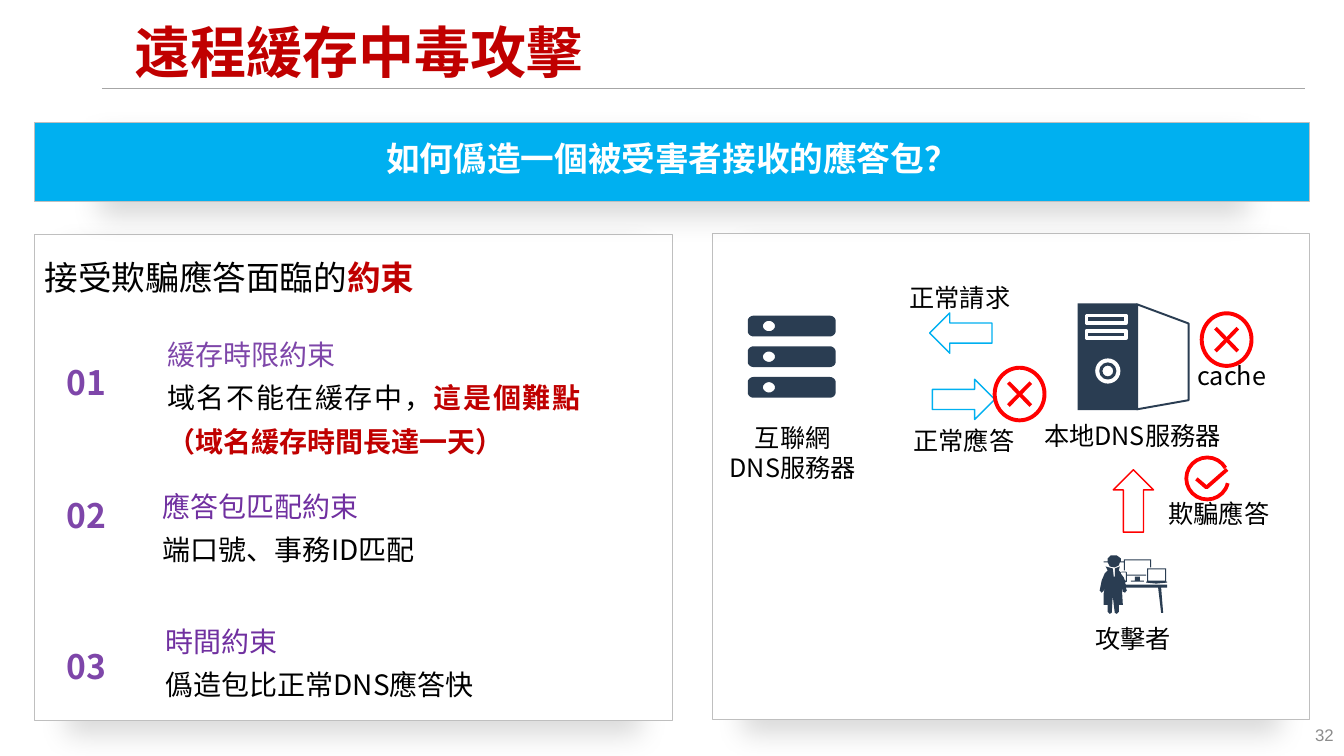
from dataclasses import dataclass
from math import cos, radians, sin
from typing import NamedTuple

from lxml import etree
from pptx import Presentation
from pptx.dml.color import RGBColor
from pptx.enum.shapes import MSO_CONNECTOR, MSO_SHAPE
from pptx.enum.text import MSO_ANCHOR, MSO_AUTO_SIZE, PP_ALIGN
from pptx.oxml.ns import qn
from pptx.util import Pt

RECT, ROUND, OVAL = MSO_SHAPE.RECTANGLE, MSO_SHAPE.ROUNDED_RECTANGLE, MSO_SHAPE.OVAL
ARROW, ARC = MSO_SHAPE.RIGHT_ARROW, MSO_SHAPE.ARC
STRAIGHT = MSO_CONNECTOR.STRAIGHT
TOP, MIDDLE = MSO_ANCHOR.TOP, MSO_ANCHOR.MIDDLE
LEFT, CENTER, RIGHT, JUSTIFY = PP_ALIGN.LEFT, PP_ALIGN.CENTER, PP_ALIGN.RIGHT, PP_ALIGN.JUSTIFY
NO_AUTOSIZE = MSO_AUTO_SIZE.NONE


@dataclass(frozen=True)
class Theme:
    font: str = "Noto Sans CJK SC"
    number_font: str = "Arial"
    black: str = "000000"
    white: str = "FFFFFF"
    crimson: str = "C00000"
    red: str = "FF0000"
    sky: str = "00B0F0"
    navy: str = "2A3D52"
    violet: str = "7E46A9"
    purple: str = "7030A0"
    border: str = "BFBFBF"
    rule: str = "A6A6A6"
    grey: str = "8C8C8C"
    title: int = 40
    heading: int = 24
    body: int = 20
    label: int = 18
    small: int = 12


T = Theme()


class Box(NamedTuple):
    x: float
    y: float
    w: float
    h: float


class Run(NamedTuple):
    text: str
    color: str = T.black
    bold: bool = False


class Constraint(NamedTuple):
    number: str
    number_y: float
    box: Box
    lines: list


class Label(NamedTuple):
    text: str
    box: Box
    align: PP_ALIGN = LEFT


prs = Presentation()
prs.slide_width, prs.slide_height = Pt(960), Pt(540)
s = prs.slides.add_slide(prs.slide_layouts[4])
shapes = s.shapes


# Drawing helpers
def paint(sp, fill: str = "", line: str = "", width: float = 1):
    sp.shadow.inherit = False
    if fill:
        sp.fill.solid()
        sp.fill.fore_color.rgb = RGBColor.from_string(fill)
    else:
        sp.fill.background()
    if line:
        sp.line.color.rgb = RGBColor.from_string(line)
        sp.line.width = Pt(width)
    else:
        sp.line.fill.background()
    return sp


def shape(kind: MSO_SHAPE, box: Box, **style):
    return paint(shapes.add_shape(kind, *map(Pt, box)), **style)


def stroke(x1: float, y1: float, x2: float, y2: float, color: str, width: float) -> None:
    c = shapes.add_connector(STRAIGHT, Pt(x1), Pt(y1), Pt(x2), Pt(y2))
    c.line.color.rgb = RGBColor.from_string(color)
    c.line.width = Pt(width)
    etree.SubElement(c._element.spPr, qn("a:effectLst"))


def outline(contours: list, x: float = 0, y: float = 0, unit: float = 0.1, close: bool = True, **style):
    fb = shapes.build_freeform(*contours[0][0], scale=Pt(unit))
    for i, points in enumerate(contours):
        if i:
            fb.move_to(*points[0])
        fb.add_line_segments(points[1:], close=close)
    return paint(fb.convert_to_shape(Pt(x), Pt(y)), **style)


def write(sp, lines: list, *, size: float, font: str = T.font, align: PP_ALIGN = LEFT,
          anchor: MSO_ANCHOR = TOP, spacing: float = 1.0, indent: float = 0) -> None:
    tf = sp.text_frame
    tf.word_wrap, tf.auto_size, tf.vertical_anchor = True, NO_AUTOSIZE, anchor
    for i, runs in enumerate(lines):
        p = tf.add_paragraph() if i else tf.paragraphs[0]
        p.alignment, p.line_spacing = align, spacing
        p.space_before = p.space_after = Pt(0)
        pPr = p._p.get_or_add_pPr()
        pPr.set("marL", str(Pt(indent)))
        pPr.set("indent", "0")
        etree.SubElement(pPr, qn("a:buNone"))
        for run in runs:
            r = p.add_run()
            r.text = run.text
            r.font.size, r.font.bold, r.font.name = Pt(size), run.bold, font
            r.font.color.rgb = RGBColor.from_string(run.color)
            etree.SubElement(r._r.get_or_add_rPr(), qn("a:ea"), typeface=font)


def textbox(box: Box, lines: list, **fmt) -> None:
    write(shapes.add_textbox(*map(Pt, box)), lines, **fmt)


def placeholder(sp, box: Box, lines: list, **fmt) -> None:
    sp.left, sp.top, sp.width, sp.height = map(Pt, box)
    shapes._spTree.append(sp._element)  # bring above the panels
    write(sp, lines, **fmt)


def panel(box: Box, fill: str) -> None:
    sp = shape(RECT, box, fill=fill, line=T.border, width=0.5)
    effects = sp._element.spPr.find(qn("a:effectLst"))
    shadow = etree.SubElement(effects, qn("a:outerShdw"), blurRad=str(Pt(20)), dist=str(Pt(10)),
                              dir="5400000", sx="90000", sy="100000", algn="t", rotWithShape="0")
    color = etree.SubElement(shadow, qn("a:srgbClr"), val=T.black)
    etree.SubElement(color, qn("a:alpha"), val="15000")


def cross_mark(cx: float, cy: float) -> None:
    shape(OVAL, Box(cx - 17.8, cy - 18.8, 35.6, 37.6), line=T.red, width=2.8)
    for dy in (-8.2, 8.2):
        stroke(cx - 8, cy - dy, cx + 8, cy + dy, T.red, 2.7)


def block(x1: float, y1: float, x2: float, y2: float) -> list:
    return [(x1, y1), (x2, y1), (x2, y2), (x1, y2)]


def rounded(x: float, y: float, w: float, h: float, rx: float, ry: float) -> list:
    """Outline of a rectangle with elliptical corners."""
    points = []
    for quarter, (cx, cy) in enumerate(block(x + rx, y + ry, x + w - rx, y + h - ry)):
        for step in range(0, 91, 15):
            a = radians(180 + 90 * quarter + step)
            points.append((cx + rx * cos(a), cy + ry * sin(a)))
    return points


# Title, panels and banner
stroke(72.7, 63.4, 932, 63.4, T.rule, 1)
panel(Box(509, 167, 426.2, 347), T.white)
placeholder(shapes.title, Box(88.9, 10.8, 805, 56.9), [[Run("遠程緩存中毒攻擊", T.crimson, True)]],
            size=T.title, anchor=MIDDLE, spacing=0.9)
panel(Box(24.8, 167.4, 455.3, 347.2), T.white)
panel(Box(24.8, 87.3, 910.2, 56.7), T.sky)
textbox(Box(0, 95, 960, 36), [[Run("如何僞造一個被受害者接收的應答包？", T.white, True)]],
        size=T.heading, align=CENTER)

# Constraints
heading, *bodies = [sp for sp in s.placeholders if sp.placeholder_format.idx in (1, 2, 3, 4)]
placeholder(heading, Box(24.8, 180, 425.5, 36),
            [[Run("接受欺騙應答面臨的"), Run("約束", T.crimson, True)]], size=T.heading)
CONSTRAINTS = [
    Constraint("01", 247.7, Box(102.2, 230, 319.7, 98.6), [
        [Run("緩存時限約束", T.violet)],
        [Run("域名不能在緩存中，"), Run("這是個難點（域名緩存時間長達一天）", T.crimson, True)]]),
    Constraint("02", 343, Box(99, 338.6, 310.3, 67), [
        [Run("應答包匹配約束", T.purple)], [Run("端口號、事務ID匹配")]]),
    Constraint("03", 450.4, Box(100.8, 435.1, 407.5, 67), [
        [Run("時間約束", T.purple)], [Run("僞造包比正常DNS應答快")]]),
]
for body, item in zip(bodies, CONSTRAINTS):
    placeholder(body, item.box, item.lines, size=T.body, align=JUSTIFY, spacing=1.3, indent=10)
    badge = shape(ROUND, Box(39.6, item.number_y, 44.6, 44.6))
    badge.adjustments[0] = 0
    write(badge, [[Run(item.number, T.violet, True)]], size=T.heading, align=CENTER,
          anchor=MIDDLE, spacing=1.2)

# Internet DNS server: three bars, each with a round hole
bars = [rounded(0, 219 * i, 627, 148, 42, 36) for i in range(3)]
holes = [rounded(108, 219 * i + 37, 86, 74, 43, 37) for i in range(3)]
outline(bars + holes, x=534.2, y=225.5, fill=T.navy)

# Local DNS server
outline([[(8122, 2174), (8490, 2311), (8490, 2859), (8122, 2924)]],
        fill=T.white, line=T.navy, width=1.4)
shape(RECT, Box(769.7, 216.7, 42.5, 76.3), fill=T.navy)
for y in (225.4, 236.2):
    shape(RECT, Box(776.2, y, 28, 5.4), line=T.white, width=2.6)
shape(OVAL, Box(782.3, 256, 18, 18), fill=T.white)
shape(OVAL, Box(786.3, 260, 10, 10), fill=T.white, line=T.navy, width=2.2)

# Attacker at a desk
outline([
    [(8, 7), (20, 7), (19, 10), (15, 12), (10, 11)],
    [(26, 29), (67, 29), (67, 32), (61, 32), (63, 57), (61, 57), (58, 32), (26, 32), (27, 35),
     (25, 37), (23, 36), (22, 32), (23, 49), (19, 49), (19, 56), (17, 58), (15, 57), (14, 49),
     (13, 40), (12, 57), (10, 58), (8, 56), (8, 49), (4, 49), (4, 38), (5, 32), (4, 35), (2, 37),
     (0, 35), (2, 25), (5, 18), (8, 15), (6, 11), (13, 13), (14, 21), (15, 21), (15, 13),
     (20, 11), (19, 15), (21, 17), (22, 16), (26, 16), (27, 17), (27, 26), (25, 27)],
    [(26, 25), (26, 17), (21, 17), (21, 18), (24, 22), (25, 25)],
    [(4, 7), (24, 7), (24, 15), (25, 15), (25, 5), (50, 5), (50, 12), (51, 12), (51, 4), (24, 4),
     (24, 6), (21, 6), (21, 3), (17, 0), (11, 0), (8, 3), (8, 6), (4, 6)],
    [(35, 21), (35, 25), (31, 25), (31, 26), (44, 26), (44, 25), (40, 25), (40, 21)],
    [(46, 26), (67, 26), (67, 27), (56, 28), (46, 27)],
    block(27, 19, 46, 20), block(47, 13, 66, 26), block(48, 14, 65, 25),
], x=785.5, y=396.7, unit=0.72, fill=T.navy)

# Message arrows
for x, y, angle, color in ((664, 223.5, 180, T.sky), (787.3, 343.4, 270, T.red),
                           (666, 270.9, 0, T.sky)):
    shape(ARROW, Box(x, y, 44.6, 28.8), line=color).rotation = angle

# Verdict marks
cross_mark(728.3, 281.5)
cross_mark(876.2, 242.6)
ring = shape(ARC, Box(847.4, 326.8, 30, 30), line=T.red, width=2.7)
ring.adjustments[0], ring.adjustments[1] = 7.8, 198
outline([[(8546, 3420), (8618, 3482), (8765, 3353)]], close=False, line=T.red, width=2.7)

# Labels
for label in (
    Label("本地DNS服務器", Box(738.7, 296.6, 151.2, 28.8)),
    Label("攻擊者", Box(755, 441.8, 108.7, 28.8), CENTER),
    Label("正常請求", Box(642.6, 198, 108.7, 28.8)),
    Label("欺騙應答", Box(827.6, 352.1, 108.7, 28.8)),
    Label("正常應答", Box(645.4, 300.2, 108.7, 28.8)),
    Label("cache", Box(848.2, 253.8, 79.2, 28.8)),
    Label("互聯網\nDNS服務器", Box(490.6, 298.1, 151.2, 51), CENTER),
):
    textbox(label.box, [[Run(line)] for line in label.text.split("\n")],
            size=T.label, align=label.align)
textbox(Box(743.8, 510.5, 216, 28.8), [[Run("32", T.grey)]], size=T.small,
        font=T.number_font, align=RIGHT, anchor=MIDDLE)

prs.save("out.pptx")
